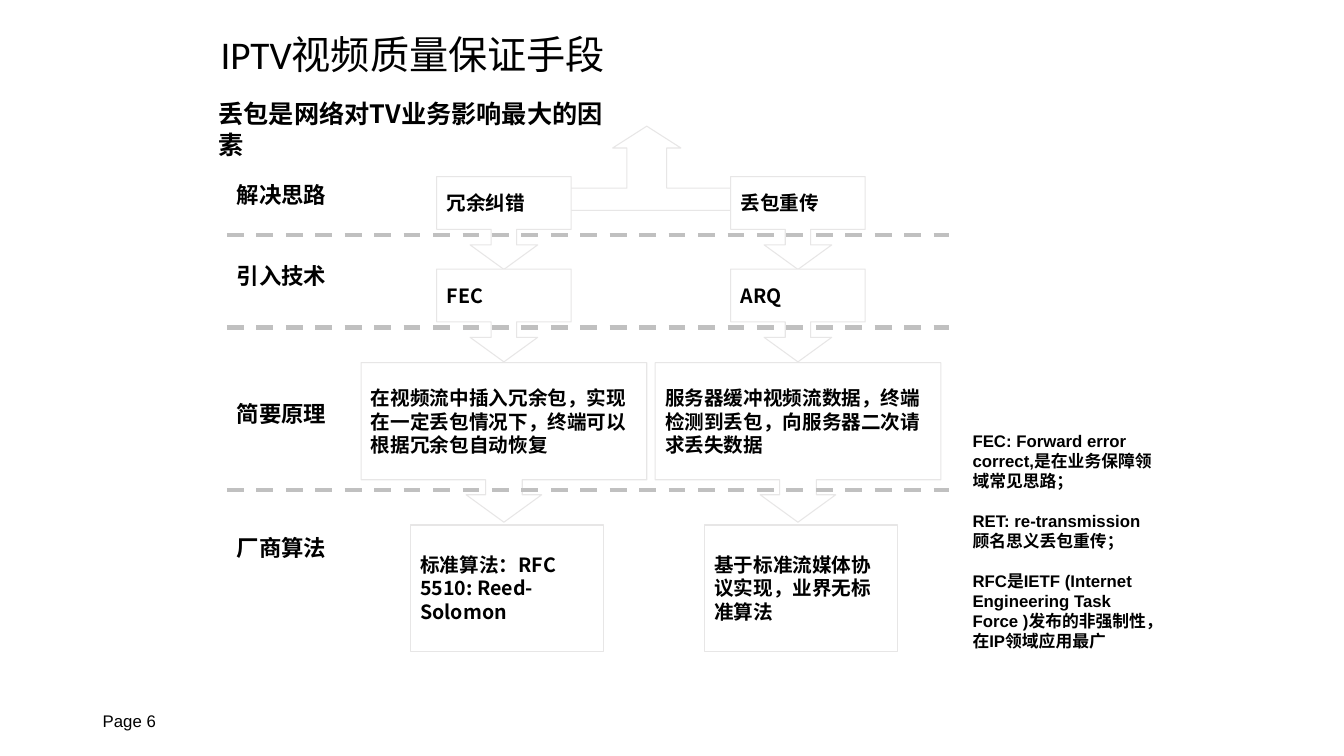
"""Builds the slide on ways to safeguard IPTV video quality."""
from lxml.etree import SubElement
from pptx import Presentation
from pptx.dml.color import RGBColor
from pptx.enum.dml import MSO_LINE_DASH_STYLE as Dash
from pptx.enum.shapes import MSO_CONNECTOR as Connector, MSO_SHAPE as Preset
from pptx.enum.text import MSO_ANCHOR as Anchor, PP_ALIGN as Align
from pptx.oxml.ns import qn
from pptx.util import Cm, Pt

BLACK = RGBColor(0x00, 0x00, 0x00)
WHITE = RGBColor(0xFF, 0xFF, 0xFF)
PALE = RGBColor(0xE7, 0xE6, 0xE6)
SILVER = RGBColor(0xC0, 0xC0, 0xC0)
CJK = "Noto Sans CJK SC"

TITLE = {"name": "Calibri", "size": Pt(28)}
HEADLINE = {"name": CJK, "size": Pt(18), "bold": True}
LABEL = {"name": CJK, "size": Pt(16), "bold": True}
STEP = {"name": CJK, "size": Pt(14), "bold": True}
NOTE = {"name": "Arial", "size": Pt(12), "bold": True}
FOOTER = {"name": "Arial", "size": Pt(12)}

SMALL_ARROW = (0.273, 0.364, 0.264, 0.569)
LARGE_ARROW = (0.23, 0.237, 0.172, 0.734)


class Diagram:
    """Draws the slide's elements in one shared style, with lengths in cm."""

    def __init__(self, slide):
        self.shapes = slide.shapes

    def fill_text(self, frame, paragraphs, style, gap=0, **layout):
        for key, value in {"word_wrap": True, **layout}.items():
            setattr(frame, key, value)
        for index, content in enumerate(paragraphs):
            paragraph = frame.paragraphs[0] if index == 0 else frame.add_paragraph()
            paragraph.alignment = Align.LEFT
            if index:
                paragraph.space_before = Pt(gap)
            run = paragraph.add_run()
            run.text = content
            for key, value in style.items():
                setattr(run.font, key, value)
            run.font.color.rgb = BLACK
            SubElement(run._r.get_or_add_rPr(), qn("a:ea"), typeface=CJK)

    def text(self, box, paragraphs, style, gap=0, **layout):
        frame = self.shapes.add_textbox(*map(Cm, box)).text_frame
        self.fill_text(frame, paragraphs, style, gap, **layout)
        return frame

    def outline(self, shape):
        shape.shadow.inherit = False
        shape.fill.solid()
        shape.fill.fore_color.rgb = WHITE
        shape.line.color.rgb = PALE
        shape.line.width = Pt(0.75)

    def step(self, preset, centre, top, width, height, content, adjustments=()):
        shape = self.shapes.add_shape(
            preset, *map(Cm, (centre - width / 2, top, width, height)))
        for index, value in enumerate(adjustments):
            shape.adjustments[index] = value
        self.outline(shape)
        self.fill_text(shape.text_frame, [content], STEP,
                       vertical_anchor=Anchor.MIDDLE)

    def mirrored(self, centre, half):
        points = [(Cm(centre + dx), Cm(y)) for dx, y in half]
        points += [(Cm(centre - dx), Cm(y)) for dx, y in reversed(half[1:])]
        builder = self.shapes.build_freeform(*points[0], scale=1.0)
        builder.add_line_segments(points[1:], close=True)
        self.outline(builder.convert_to_shape())

    def divider(self, left, right, y):
        rule = self.shapes.add_connector(
            Connector.STRAIGHT, *map(Cm, (left, y, right, y)))
        rule.line.color.rgb = SILVER
        rule.line.width = Pt(3)
        rule.line.dash_style = Dash.DASH
        SubElement(rule._element.spPr, qn("a:effectLst"))


def main():
    deck = Presentation()
    deck.slide_width, deck.slide_height = Cm(33.87), Cm(19.05)
    diagram = Diagram(deck.slides.add_slide(deck.slide_layouts[6]))

    diagram.text((2.34, 17.65, 7.62, 1.02), ["Page 6"], FOOTER,
                 vertical_anchor=Anchor.MIDDLE)
    title = diagram.text((5.31, 0.64, 11.43, 1.57), ["IPTV视频质量保证手段"],
                         TITLE, vertical_anchor=Anchor.MIDDLE)
    title.paragraphs[0].line_spacing = 0.9
    diagram.text((5.26, 2.36, 10.74, 1.02),
                 ["丢包是网络对TV业务影响最大的因素"], HEADLINE)

    stages = {"解决思路": 4.45, "引入技术": 6.48, "简要原理": 9.96, "厂商算法": 13.34}
    for stage, top in stages.items():
        diagram.text((5.72, top, 2.77, 0.94), [stage], LABEL, word_wrap=False)

    diagram.mirrored(16.3, [
        (0, 3.18), (0.86, 3.73), (0.5, 3.73), (0.5, 4.74), (2.2, 4.74),
        (2.2, 4.52), (3.17, 5), (2.2, 5.5), (2.2, 5.3)])

    methods = [
        (12.7, "冗余纠错", "FEC",
         "在视频流中插入冗余包，实现在一定丢包情况下，终端可以根据冗余包自动恢复",
         "标准算法：RFC 5510: Reed-Solomon"),
        (20.11, "丢包重传", "ARQ",
         "服务器缓冲视频流数据，终端检测到丢包，向服务器二次请求丢失数据",
         "基于标准流媒体协议实现，业界无标准算法"),
    ]
    callout = Preset.DOWN_ARROW_CALLOUT
    for centre, idea, technique, principle, algorithm in methods:
        diagram.step(callout, centre, 4.45, 3.39, 2.34, idea, SMALL_ARROW)
        diagram.step(callout, centre, 6.78, 3.39, 2.34, technique, SMALL_ARROW)
        diagram.step(callout, centre, 9.14, 7.2, 4.02, principle, LARGE_ARROW)
        diagram.step(Preset.RECTANGLE, centre + 0.08, 13.23, 4.88, 3.18, algorithm)

    for y in (5.93, 8.25, 12.34):
        diagram.divider(5.72, 23.92, y)

    diagram.text((24.26, 10.72, 5.08, 5.89), [
        "FEC: Forward error correct,是在业务保障领域常见思路；",
        "RET: re-transmission顾名思义丢包重传；",
        "RFC是IETF (Internet Engineering Task Force )发布的非强制性，在IP领域应用最广",
    ], NOTE, gap=14)

    deck.save("out.pptx")


if __name__ == "__main__":
    main()
